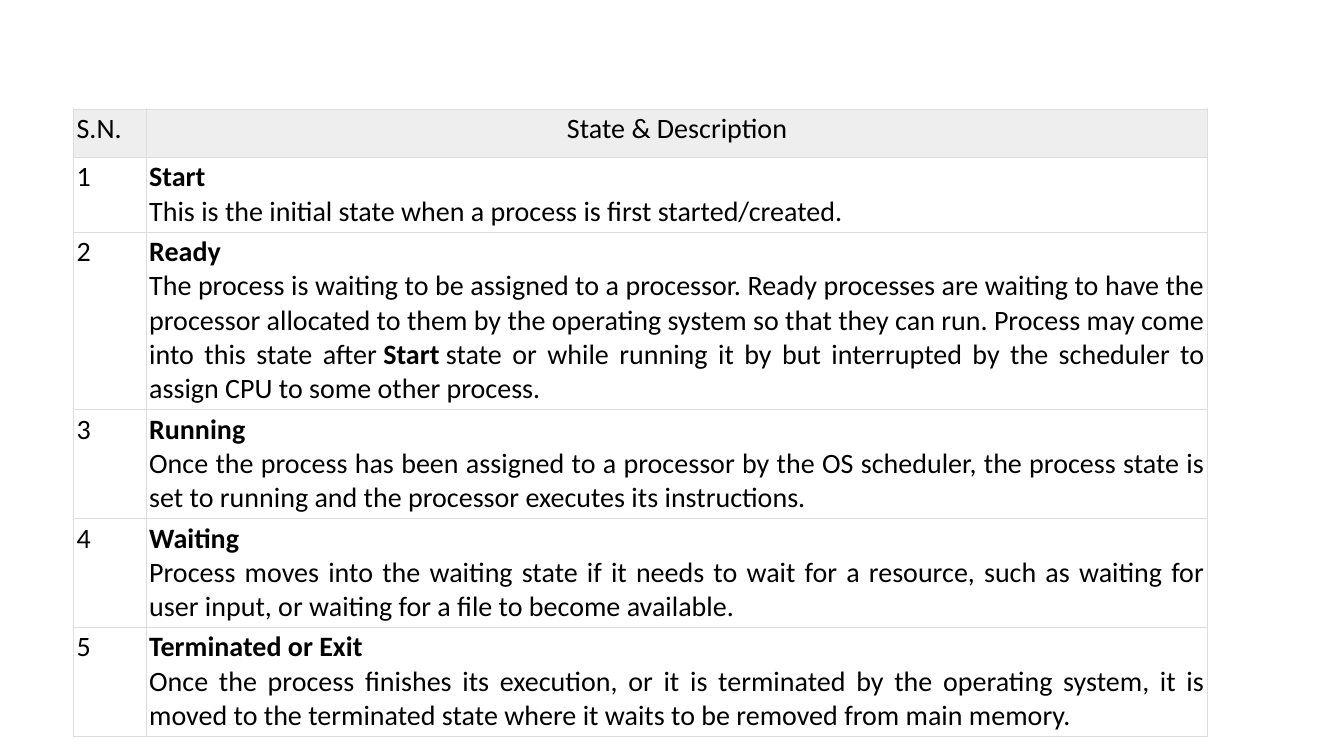
from lxml.etree import SubElement
from pptx import Presentation
from pptx.dml.color import RGBColor
from pptx.enum.text import PP_ALIGN
from pptx.oxml.ns import qn
from pptx.util import Inches, Pt

COLORS = {"text": "000000", "header": "EEEEEE", "border": "DDDDDD"}
COLUMN_WIDTHS = [0.72, 10.53]
ROW_HEIGHTS = [0.48, 0.68, 1.67, 0.88, 0.88, 1.07]
HEADINGS = ["S.N.", "State & Description"]

# Each state: name and description as (text, bold) runs
STATES = [
    ("Start", [("This is the initial state when a process is first started/created.", False)]),
    ("Ready", [
        ("The process is waiting to be assigned to a processor. Ready processes are "
         "waiting to have the processor allocated to them by the operating system so "
         "that they can run. Process may come into this state after\u00a0", False),
        ("Start", True),
        ("\u00a0state or while running it by but interrupted by the scheduler to assign "
         "CPU to some other process.", False)]),
    ("Running", [
        ("Once the process has been assigned to a processor by the OS scheduler, the "
         "process state is set to running and the processor executes its instructions.", False)]),
    ("Waiting", [
        ("Process moves into the waiting state if it needs to wait for a resource, such "
         "as waiting for user input, or waiting for a file to become available.", False)]),
    ("Terminated or Exit", [
        ("Once the process finishes its execution, or it is terminated by the operating "
         "system, it is moved to the terminated state where it waits to be removed from "
         "main memory.", False)]),
]


def add_borders(cell):
    properties = cell._tc.get_or_add_tcPr()
    for side in ("lnL", "lnR", "lnT", "lnB"):
        line = SubElement(properties, qn(f"a:{side}"), w=str(Pt(0.6)))
        fill = SubElement(line, qn("a:solidFill"))
        SubElement(fill, qn("a:srgbClr"), val=COLORS["border"])


def fill_cell(cell, paragraphs, alignment, fill=None):
    """Write paragraphs, each a list of (text, bold) runs, into a cell."""
    cell.margin_left = cell.margin_right = Inches(0.03)
    cell.margin_top = cell.margin_bottom = Inches(0.03)
    add_borders(cell)
    if fill:
        cell.fill.solid()
        cell.fill.fore_color.rgb = RGBColor.from_string(fill)
    else:
        cell.fill.background()
    frame = cell.text_frame
    for index, runs in enumerate(paragraphs):
        paragraph = frame.add_paragraph() if index else frame.paragraphs[0]
        paragraph.alignment = alignment
        for text, bold in runs:
            run = paragraph.add_run()
            run.text = text
            font = run.font
            font.name, font.size, font.bold = "Calibri", Pt(20), bold
            font.color.rgb = RGBColor.from_string(COLORS["text"])


def add_state_table(slide, left, top, width, height):
    table = slide.shapes.add_table(
        len(ROW_HEIGHTS), len(COLUMN_WIDTHS),
        Inches(left), Inches(top), Inches(width), Inches(height)).table
    table.first_row = table.horz_banding = False
    for column, column_width in zip(table.columns, COLUMN_WIDTHS):
        column.width = Inches(column_width)
    for row, row_height in zip(table.rows, ROW_HEIGHTS):
        row.height = Inches(row_height)

    # Header row
    for column, (heading, alignment) in enumerate(
            zip(HEADINGS, (PP_ALIGN.LEFT, PP_ALIGN.CENTER))):
        fill_cell(table.cell(0, column), [[(heading, False)]], alignment, COLORS["header"])

    # One row per process state
    for number, (name, description) in enumerate(STATES, start=1):
        fill_cell(table.cell(number, 0), [[(str(number), False)]], PP_ALIGN.LEFT)
        fill_cell(table.cell(number, 1), [[(name, True)], description], PP_ALIGN.JUSTIFY)


presentation = Presentation()
presentation.slide_width = Inches(13.33)
presentation.slide_height = Inches(7.5)
state_slide = presentation.slides.add_slide(presentation.slide_layouts[6])
add_state_table(state_slide, 0.73, 1.08, sum(COLUMN_WIDTHS), sum(ROW_HEIGHTS))
presentation.save("out.pptx")
